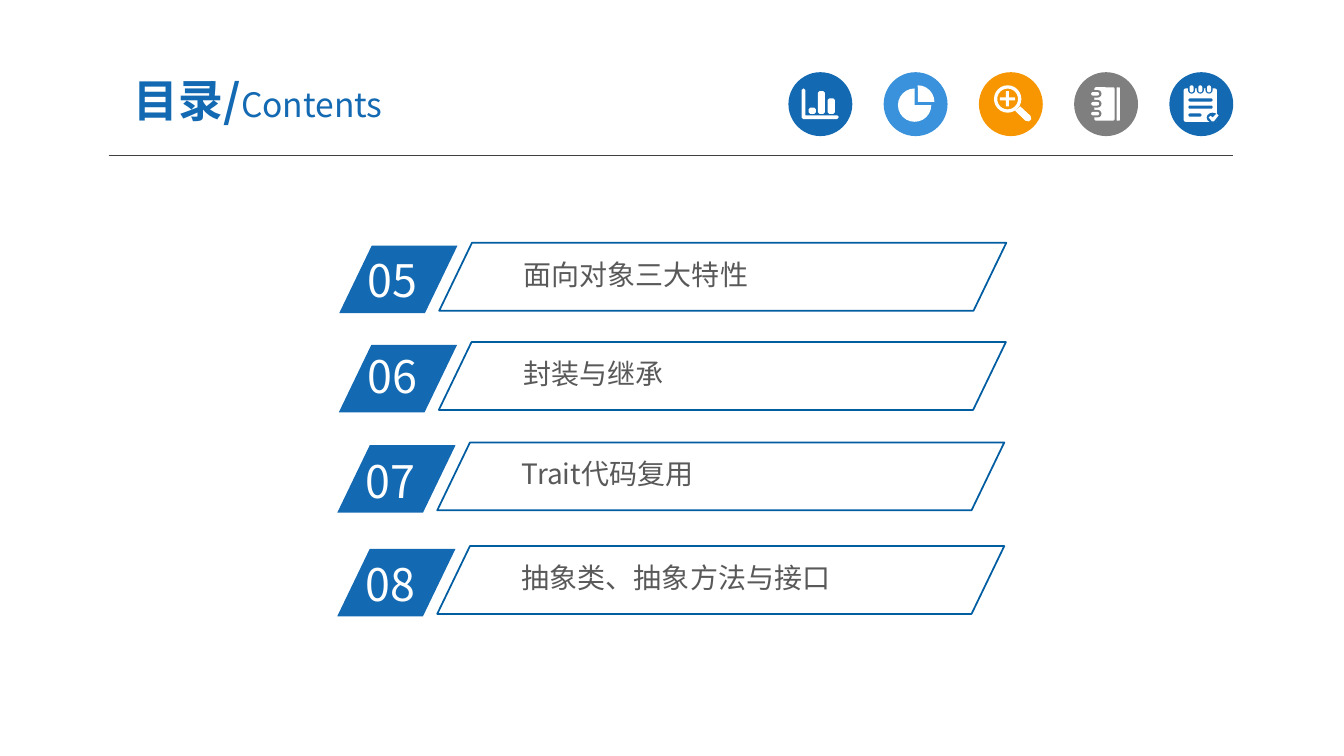
import pptx
import pptx.util
import pptx.dml.color
import pptx.enum.shapes
import pptx.enum.text
import pptx.oxml.ns
import lxml.etree

Cm, Pt = pptx.util.Cm, pptx.util.Pt
RGBColor = pptx.dml.color.RGBColor
Kind = pptx.enum.shapes.MSO_SHAPE
Align = pptx.enum.text.PP_ALIGN
Anchor = pptx.enum.text.MSO_ANCHOR
Fit = pptx.enum.text.MSO_AUTO_SIZE

BLUE = RGBColor(0x13, 0x69, 0xB2)
SKY = RGBColor(0x39, 0x92, 0xDB)
AMBER = RGBColor(0xF7, 0x96, 0x00)
GREY = RGBColor(0x7F, 0x7F, 0x7F)
WHITE = RGBColor(0xFF, 0xFF, 0xFF)
INK = RGBColor(0x59, 0x59, 0x59)
EDGE = RGBColor(0x00, 0x5D, 0xA2)
RULE = RGBColor(0x40, 0x40, 0x40)
FONT = "Noto Sans CJK SC"

DISC, STEP = 1.61, 2.4
SLANT = 0.482


def write(frame, text, size=20, color=INK, bold=False):
    """Add a run to the first paragraph, in one font for Latin and Chinese."""
    run = frame.paragraphs[0].add_run()
    run.text = text
    font = run.font
    font.name, font.size, font.bold = FONT, Pt(size), bold
    font.color.rgb = color
    east = lxml.etree.SubElement(font._element, pptx.oxml.ns.qn("a:ea"))
    east.set("typeface", FONT)


class Page:
    def __init__(self, slide):
        self.shapes = slide.shapes

    def paint(self, shape, fill, line=None):
        shape.shadow.inherit = False
        if fill is None:
            shape.fill.background()
        else:
            shape.fill.solid()
            shape.fill.fore_color.rgb = fill
        if line is None:
            shape.line.fill.background()
        else:
            shape.line.color.rgb = line
            shape.line.width = Pt(1.25)

    def shape(self, kind, x, y, w, h, fill=WHITE, line=None, adj=()):
        item = self.shapes.add_shape(kind, Cm(x), Cm(y), Cm(w), Cm(h))
        for i, value in enumerate(adj):
            item.adjustments[i] = value
        self.paint(item, fill, line)

    def pill(self, x, y, w, h, fill=WHITE, bend=0.5):
        self.shape(Kind.ROUNDED_RECTANGLE, x, y, w, h, fill, adj=(bend,))

    def outline(self, x, y, *rings):
        """Draw one white shape from closed rings of offsets from x, y."""
        pen = None
        for ring in rings:
            spots = [(Cm(x + a), Cm(y + b)) for a, b in ring]
            if pen is None:
                pen = self.shapes.build_freeform(*spots[0])
            else:
                pen.move_to(*spots[0])
            pen.add_line_segments(spots[1:])
        self.paint(pen.convert_to_shape(), WHITE)

    def rule(self, x, y, end):
        line = self.shapes.add_connector(
            pptx.enum.shapes.MSO_CONNECTOR.STRAIGHT, Cm(x), Cm(y), Cm(end), Cm(y))
        line.line.color.rgb = RULE
        line.line.width = Pt(0.75)
        lxml.etree.SubElement(line._element.spPr, pptx.oxml.ns.qn("a:effectLst"))

    def box(self, x, y, w, h, side=0.25, top=0.13, fit=Fit.SHAPE_TO_FIT_TEXT):
        frame = self.shapes.add_textbox(Cm(x), Cm(y), Cm(w), Cm(h)).text_frame
        frame.word_wrap = True
        frame.auto_size = fit
        frame.margin_left = frame.margin_right = Cm(side)
        frame.margin_top = frame.margin_bottom = Cm(top)
        return frame


def bar(left, top, right=None, foot=1.05, cut=0.04):
    """Give the ring of a chart bar with clipped corners."""
    right = right or left + 0.18
    return [(left + cut, top), (right - cut, top), (right, top + cut),
            (right, foot - cut), (right - cut, foot), (left + cut, foot),
            (left, foot - cut), (left, top + cut)]


def chart(page, x, y):
    axes = [(0.33, 0.45), (0.38, 0.41), (0.43, 0.45), (0.43, 1.09), (1.23, 1.09),
            (1.27, 1.13), (1.23, 1.18), (0.37, 1.18), (0.33, 1.14)]
    page.outline(x, y, axes, bar(0.51, 0.89), bar(0.74, 0.48), bar(0.99, 0.66))


def pie(page, x, y):
    page.shape(Kind.PIE, x + 0.36, y + 0.41, 0.84, 0.84, adj=(0, 162))
    page.shape(Kind.PIE, x + 0.44, y + 0.33, 0.84, 0.84, adj=(162, 0))


def lens(page, x, y):
    page.shape(Kind.DONUT, x + 0.38, y + 0.33, 0.69, 0.69, adj=(0.12,))
    page.shape(Kind.CROSS, x + 0.53, y + 0.48, 0.38, 0.38, adj=(0.4,))
    page.outline(x, y, [(0.91, 0.97), (1.04, 0.86), (1.3, 1.1),
                        (1.32, 1.18), (1.26, 1.24), (1.17, 1.22)])


def book(page, x, y):
    page.pill(x + 0.51, y + 0.38, 0.51, 0.84, bend=0.08)
    page.pill(x + 1.07, y + 0.38, 0.08, 0.84, bend=0.2)
    for i in range(3):
        top = y + 0.5 + 0.25 * i
        page.pill(x + 0.43, top - 0.05, 0.26, 0.19, GREY)
        page.pill(x + 0.43, top, 0.2, 0.09)


def note(page, x, y):
    page.pill(x + 0.36, y + 0.41, 0.84, 0.84, bend=0.06)
    for i in range(3):
        left = x + 0.51 + 0.22 * i
        page.pill(left - 0.04, y + 0.33, 0.18, 0.21, BLUE)
        page.pill(left, y + 0.33, 0.1, 0.18)
    for top, wide in ((0.66, 0.61), (0.84, 0.61), (1.04, 0.33)):
        page.pill(x + 0.48, y + top, wide, 0.08, BLUE)
    page.shape(Kind.OVAL, x + 0.94, y + 1.02, 0.3, 0.25, BLUE)
    page.outline(x, y, [(0.99, 1.14), (1.04, 1.1), (1.09, 1.14), (1.19, 1.04),
                        (1.24, 1.09), (1.12, 1.24), (1.07, 1.24)])


def head(page):
    page.rule(2.74, 3.92, 31.07)
    icons = ((BLUE, chart), (SKY, pie), (AMBER, lens), (GREY, book), (BLUE, note))
    for i, (color, draw) in enumerate(icons):
        x, y = 19.87 + STEP * i, 1.82
        page.shape(Kind.OVAL, x, y, DISC, DISC, color)
        draw(page, x, y)
    title = page.box(2.33, 1.6, 8.36, 1.83, 0.33, 0.18, Fit.NONE)
    title.vertical_anchor = Anchor.MIDDLE
    title.paragraphs[0].alignment = Align.CENTER
    write(title, "目录/", size=32, color=BLUE, bold=True)
    write(title, "Contents", size=24, color=BLUE)


def entry(page, x, y, drop, number, label):
    """Draw a numbered row; drop shifts the number within its tab."""
    page.shape(Kind.PARALLELOGRAM, x, y, 2.98, 1.7, BLUE, adj=(SLANT,))
    write(page.box(x + 0.47, y + drop, 2.84, 1.63), number, size=32, color=WHITE)
    write(page.box(x + 4.47, y + 0.19, 10.46, 1.04, 0.18, 0.1), label)
    page.shape(Kind.PARALLELOGRAM, x + 2.52, y - 0.07, 14.29, 1.71,
               None, EDGE, adj=(SLANT,))


def main():
    deck = pptx.Presentation()
    deck.slide_width, deck.slide_height = Cm(33.87), Cm(19.05)
    page = Page(deck.slides.add_slide(deck.slide_layouts[6]))
    head(page)
    for row in (
        (8.55, 6.19, 0.05, "05", "面向对象三大特性"),
        (8.54, 8.69, -0.03, "06", "封装与继承"),
        (8.5, 11.22, 0.08, "07", "Trait代码复用"),
        (8.5, 13.83, 0.07, "08", "抽象类、抽象方法与接口"),
    ):
        entry(page, *row)
    deck.save("out.pptx")


if __name__ == "__main__":
    main()
